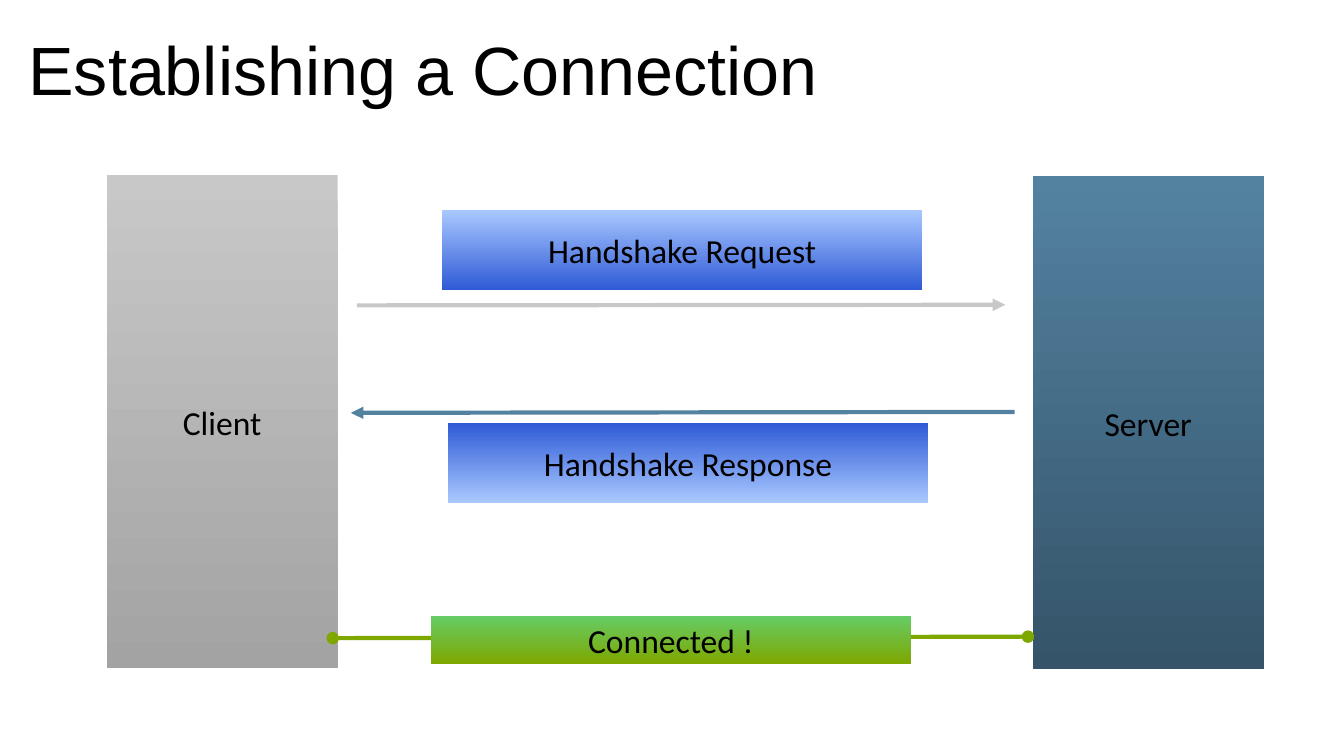
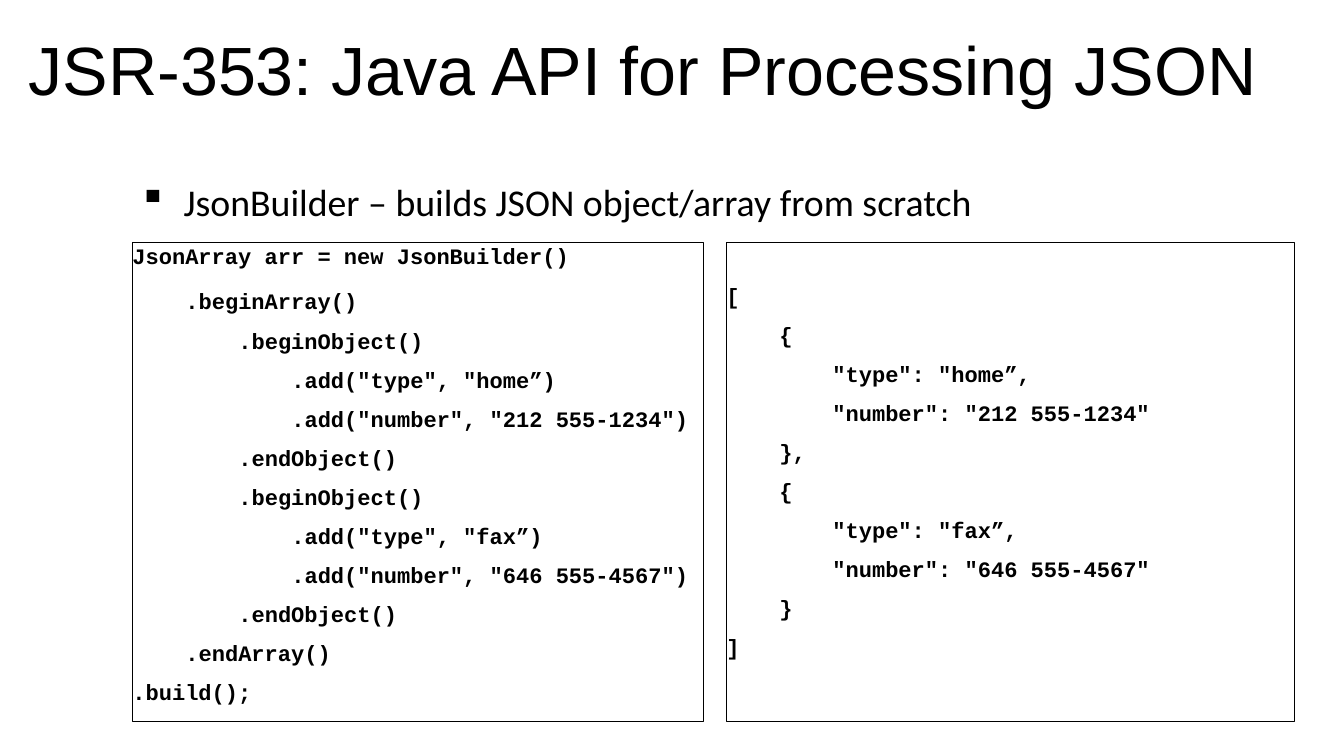
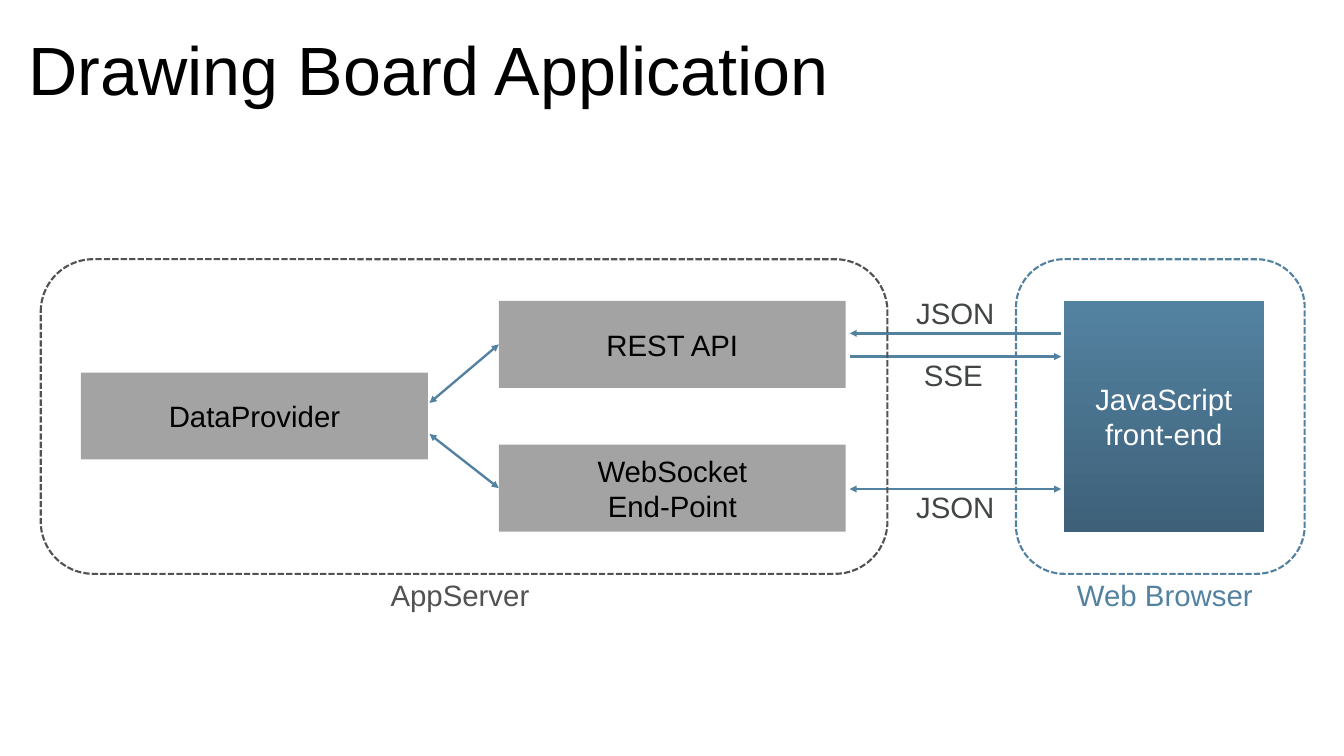
from pptx import Presentation
from pptx import util as u
from pptx.dml.color import RGBColor
from pptx.enum import dml, shapes, text
from pptx.oxml.ns import qn
from lxml import etree

BLACK, WHITE, INK = "000000", "FFFFFF", "424545"
BLUE, NAVY, STEEL = "5382A1", "355469", "3E6179"
PALE, GREY, DARK = "C8C8C8", "A3A3A3", "525252"
SKY, ROYAL, MINT, GREEN = "A9C8FF", "2E5AD6", "66CC66", "7EA700"

TITLES = [
    "Establishing a Connection",
    "JSR-353: Java API for Processing JSON",
    "Drawing Board Application",
]

SHAKES = [
    ((11.99, 10.26), (33.78, 10.24), PALE),
    ((34.09, 13.84), (11.79, 13.87), BLUE),
]
PEERS = [
    ("Server", (34.7, 5.92, 7.77, 16.56), (BLUE, NAVY)),
    ("Client", (3.58, 5.89, 7.77, 16.56), (PALE, GREY)),
    ("Handshake Request", (14.86, 7.06, 16.13, 2.69), (SKY, ROYAL)),
    ("Handshake Response", (15.06, 14.2, 16.13, 2.69), (ROYAL, SKY)),
]
LINK = ((34.54, 21.39), (11.18, 21.44))
DONE = ("Connected !", (14.48, 20.7, 16.13, 1.6), (MINT, GREEN))

POINT = "JsonBuilder – builds JSON object/array from scratch"
BUILD = [
    (0, 'JsonArray arr = new JsonBuilder()'),
    (1, '.beginArray()'),
    (2, '.beginObject()'),
    (3, '.add("type", "home”)'),
    (3, '.add("number", "212 555-1234")'),
    (2, '.endObject()'),
    (2, '.beginObject()'),
    (3, '.add("type", "fax”)'),
    (3, '.add("number", "646 555-4567")'),
    (2, '.endObject()'),
    (1, '.endArray()'),
    (0, '.build();'),
]
RESULT = [
    (0, '['),
    (1, '{'),
    (2, '"type": "home”,'),
    (2, '"number": "212 555-1234"'),
    (1, '},'),
    (1, '{'),
    (2, '"type": "fax”,'),
    (2, '"number": "646 555-4567"'),
    (1, '}'),
    (0, ']'),
]
STEP = 1.78

PARTS = {
    "DataProvider": (2.72, 12.52),
    "REST API": (16.76, 10.11),
    "WebSocket End-Point": (16.76, 14.94),
}
PART = (11.66, 2.92)
FRONT = ("JavaScript front-end", (35.74, 10.11, 6.73, 7.75), (BLUE, STEEL))
FEEDS = [
    ((14.43, 13.54), "REST API"),
    ((14.43, 14.58), "WebSocket End-Point"),
]
WIRES = [
    (11.2, "triangle", None),
    (11.98, None, "triangle"),
    (16.43, "triangle", "triangle"),
]
FRAMES = [(1.37, 28.45, DARK), (34.14, 9.7, BLUE)]
LABELS = [
    ("JSON", (30.51, 9.78, 3.18, 1.45), INK),
    ("SSE", (30.78, 11.86, 2.51, 1.45), INK),
    ("JSON", (30.51, 16.31, 3.18, 1.45), INK),
    ("AppServer", (12.98, 19.25, 4.95, 1.45), DARK),
    ("Web Browser", (35.89, 19.25, 6.5, 1.45), BLUE),
]


def rgb(code):
    return RGBColor.from_string(code)


def cm(*vals):
    return [u.Cm(val) for val in vals]


def style(para, size, face, color=BLACK, bold=False):
    font = para.font
    font.size, font.name, font.bold = u.Pt(size), face, bold
    font.color.rgb = rgb(color)


def inset(frame, left, top, right, low):
    (frame.margin_left, frame.margin_top,
     frame.margin_right, frame.margin_bottom) = cm(left, top, right, low)


def indent(para, left, first=0):
    props = para._p.get_or_add_pPr()
    props.set("marL", str(u.Cm(left)))
    props.set("indent", str(u.Cm(first)))
    return props


def box(slide, at, fill=None, kind=shapes.MSO_SHAPE.RECTANGLE):
    shape = slide.shapes.add_shape(kind, *cm(*at))
    shape.shadow.inherit = False
    shape.line.fill.background()
    if fill is None:
        shape.fill.background()
    elif isinstance(fill, str):
        shape.fill.solid()
        shape.fill.fore_color.rgb = rgb(fill)
    else:
        shape.fill.gradient()
        shape.fill.gradient_angle = 270
        for stop, color in zip(shape.fill.gradient_stops, fill):
            stop.color.rgb = rgb(color)
    return shape


def write(shape, words, size, face, color=BLACK, side=0.2):
    frame = shape.text_frame
    frame.word_wrap = True
    frame.vertical_anchor = text.MSO_ANCHOR.MIDDLE
    inset(frame, side, 0, side, 0)
    para = frame.paragraphs[0]
    para.text = words
    para.alignment = text.PP_ALIGN.CENTER
    style(para, size, face, color)


def note(slide, at, words, size, face, color=BLACK, pad=0.15, wrap=True):
    frame = slide.shapes.add_textbox(*cm(*at)).text_frame
    frame.word_wrap = wrap
    inset(frame, pad, pad, pad, pad)
    para = frame.paragraphs[0]
    para.text = words
    style(para, size, face, color)
    return frame


def wire(slide, start, end, color, width, head=None, tail=None):
    line = slide.shapes.add_connector(
        shapes.MSO_CONNECTOR.STRAIGHT, *cm(*start, *end))
    line.line.color.rgb = rgb(color)
    line.line.width = u.Pt(width)
    for tag, tip in (("a:headEnd", head), ("a:tailEnd", tail)):
        if tip:
            etree.SubElement(line.line._get_or_add_ln(), qn(tag), type=tip)
    etree.SubElement(line._element.spPr, qn("a:effectLst"))
    return line


def code(slide, at, rows, top=0):
    shape = box(slide, at)
    shape.line.color.rgb = rgb(BLACK)
    shape.line.width = u.Pt(0.75)
    frame = shape.text_frame
    frame.word_wrap = True
    frame.vertical_anchor = text.MSO_ANCHOR.TOP
    inset(frame, 0, top, 0, 0)
    for num, (depth, words) in enumerate(rows):
        para = frame.add_paragraph() if num else frame.paragraphs[0]
        para.text = words
        para.alignment = text.PP_ALIGN.LEFT
        para.space_before = u.Pt(12 if num else 0)
        indent(para, depth * STEP)
        style(para, 21, "Courier New", bold=True)
    return frame


def shake(slide):
    for start, end, color in SHAKES:
        wire(slide, start, end, color, 4, tail="triangle")
    for words, at, fill in PEERS:
        write(box(slide, at, fill), words, 32, "Calibri")
    wire(slide, *LINK, GREEN, 4, "oval", "oval")
    words, at, fill = DONE
    write(box(slide, at, fill), words, 32, "Calibri")


def listing(slide):
    frame = note(slide, (4.52, 5.84, 40.64, 2.24), POINT, 36, "Calibri")
    props = indent(frame.paragraphs[0], 1.5, -1.5)
    mark = etree.Element(qn("a:buChar"), char="▪")
    props.insert_element_before(mark, "a:tabLst", "a:defRPr", "a:extLst")
    left = code(slide, (4.45, 8.15, 19.2, 16.1), BUILD)
    left.paragraphs[0].space_after = u.Pt(6)
    code(slide, (24.41, 8.15, 19.08, 16.1), RESULT, 1.34)


def board(slide):
    made = {}
    for words, spot in PARTS.items():
        made[words] = box(slide, spot + PART, GREY)
        write(made[words], words, 28, "Arial", side=2.8)
    words, at, fill = FRONT
    write(box(slide, at, fill), words, 28, "Arial", WHITE, 0.7)
    for start, goal in FEEDS:
        line = wire(slide, start, PARTS[goal], BLUE, 2.25,
                    "triangle", "triangle")
        line.end_connect(made[goal], 1)
    for y, head, tail in WIRES:
        wire(slide, (28.55, y), (35.66, y), BLUE, 2.25, head, tail)
    for x, width, color in FRAMES:
        edge = box(slide, (x, 8.71, width, 10.57),
                   kind=shapes.MSO_SHAPE.ROUNDED_RECTANGLE).line
        edge.color.rgb = rgb(color)
        edge.width = u.Pt(2)
        edge.dash_style = dml.MSO_LINE.SQUARE_DOT
    for words, at, color in LABELS:
        frame = note(slide, at, words, 28, "Arial", color, 0.13, False)
        frame.paragraphs[0].alignment = text.PP_ALIGN.CENTER


def main():
    deck = Presentation()
    deck.slide_width, deck.slide_height = cm(45.16, 25.4)
    for title, draw in zip(TITLES, (shake, listing, board)):
        slide = deck.slides.add_slide(deck.slide_layouts[6])
        frame = note(slide, (0.81, 0.2, 43.48, 4.17), title, 65, "Arial")
        frame.vertical_anchor = text.MSO_ANCHOR.MIDDLE
        draw(slide)
    deck.save("out.pptx")


if __name__ == "__main__":
    main()
